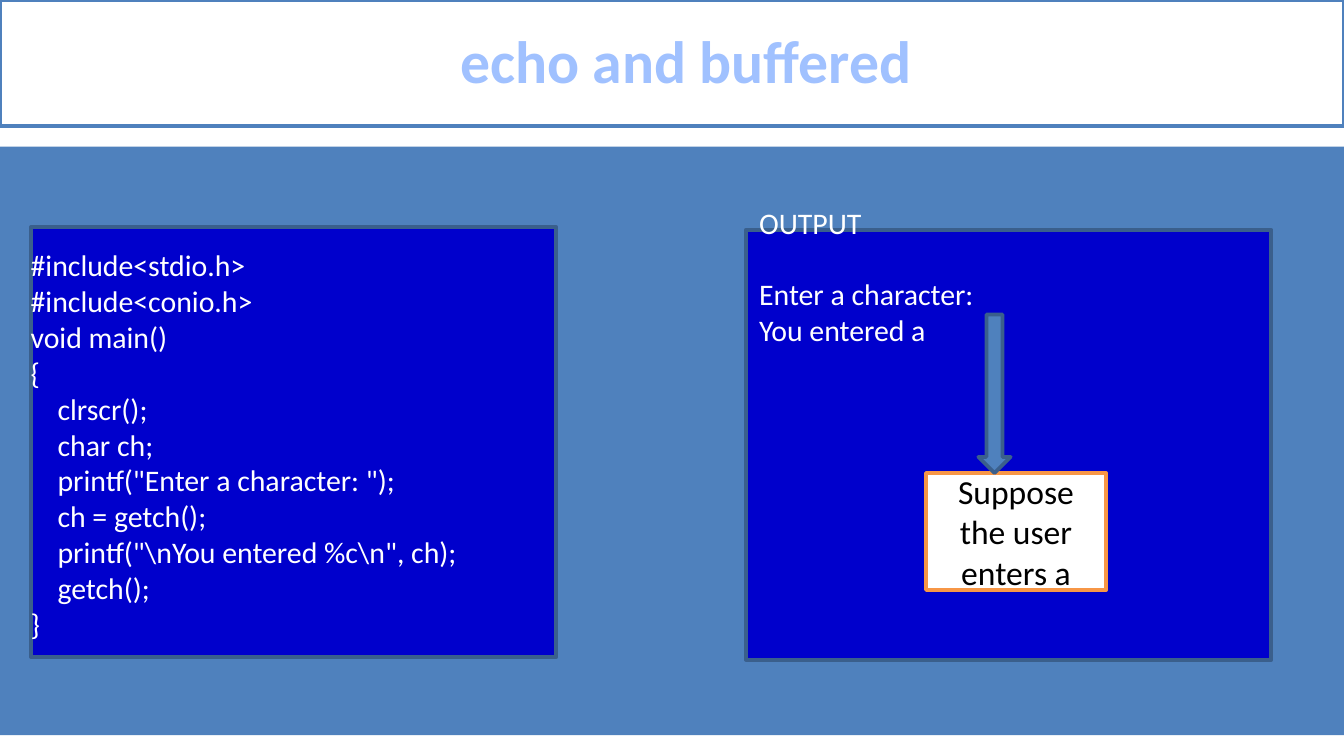
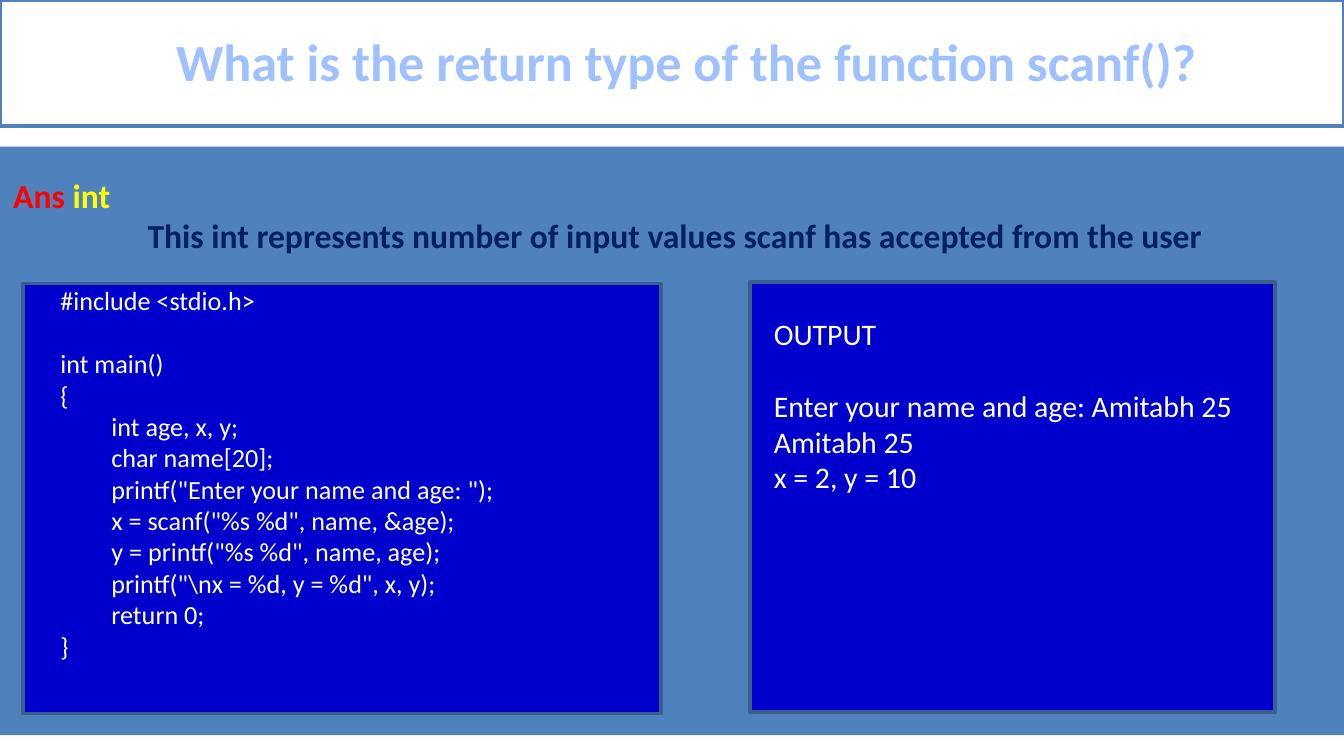
"""Build two slides on echoed, buffered input and the return type of scanf."""
from dataclasses import dataclass

from lxml import etree
from pptx import Presentation
from pptx.dml.color import RGBColor
from pptx.enum.shapes import MSO_SHAPE as Preset
from pptx.enum.text import MSO_ANCHOR as Anchor
from pptx.enum.text import MSO_AUTO_SIZE as AutoSize
from pptx.enum.text import PP_ALIGN as Align
from pptx.oxml import parse_xml
from pptx.oxml.ns import nsdecls
from pptx.util import Inches, Pt

FONT = "Calibri"
COLOURS = {
    "white": "FFFFFF",
    "black": "000000",
    "band": "4F81BD",
    "panel": "0000CC",
    "edge": "3A5F8C",
    "callout": "F79646",
    "answer": "FF0000",
    "type": "FFFF00",
    "remark": "002060",
    "title_edge": "467AB8",
}
TITLE_STOPS = ((0, "BFD3F9"), (9, "A0C1FF"), (50, "003D85"), (79, "A0C1FF"), (100, "BFD3F9"))
LINE_HEIGHT = 1.2


@dataclass(frozen=True)
class Area:
    left: float
    top: float
    width: float
    height: float

    def lengths(self) -> tuple:
        return tuple(Inches(v) for v in (self.left, self.top, self.width, self.height))


@dataclass(frozen=True)
class Panel:
    frame: Area
    text_area: Area
    size: int
    text: str


ECHO_PANELS = (
    Panel(Area(0.23, 1.69, 3.91, 3.2), Area(0.13, 1.79, 3.87, 3.06), 16, r"""#include<stdio.h>
#include<conio.h>
void main()
{
    clrscr();
    char ch;
    printf("Enter a character: ");
    ch = getch();
    printf("\nYou entered %c\n", ch);
    getch();
}"""),
    Panel(Area(5.55, 1.71, 3.91, 3.2), Area(5.55, 1.47, 3.52, 1.18), 16, """OUTPUT

Enter a character:
You entered a"""),
)

SCANF_PANELS = (
    Panel(Area(0.17, 2.11, 4.75, 3.2), Area(0.35, 2.07, 4.41, 2.93), 14, r"""#include <stdio.h>

int main()
{
	int age, x, y;
	char name[20];
	printf("Enter your name and age: ");
	x = scanf("%s %d", name, &age);
	y = printf("%s %d", name, age);
	printf("\nx = %d, y = %d", x, y);
	return 0;
}"""),
    Panel(Area(5.58, 2.1, 3.91, 3.2), Area(5.66, 2.3, 3.87, 1.72), 16, """OUTPUT

Enter your name and age: Amitabh 25
Amitabh 25
x = 2, y = 10"""),
)


def rgb(name: str) -> RGBColor:
    return RGBColor.from_string(COLOURS[name])


def set_font(font, size: float, colour: str | None = None, bold: bool = False) -> None:
    font.name = FONT
    font.size = Pt(size)
    font.bold = bold
    if colour:
        font.color.rgb = rgb(colour)


def set_indent(paragraph, margin: float, first: float = 0) -> None:
    properties = paragraph._p.get_or_add_pPr()
    properties.set("marL", str(Inches(margin)))
    properties.set("indent", str(Inches(first)))


def paint(shape, fill: str, line: str | None = None) -> None:
    shape.fill.solid()
    shape.fill.fore_color.rgb = rgb(fill)
    if line:
        shape.line.color.rgb = rgb(line)
        shape.line.width = Pt(2)
    else:
        shape.line.fill.background()


def add_block(page, preset, area: Area, fill: str, line: str | None = None):
    shape = page.shapes.add_shape(preset, *area.lengths())
    shape.shadow.inherit = False
    paint(shape, fill, line)
    return shape


def add_text_frame(page, area: Area):
    frame = page.shapes.add_textbox(*area.lengths()).text_frame
    frame.word_wrap = True
    frame.auto_size = AutoSize.SHAPE_TO_FIT_TEXT
    return frame


def next_paragraph(frame, index: int):
    return frame.add_paragraph() if index else frame.paragraphs[0]


def add_gradient(span) -> None:
    """Give a run the title's outline and vertical gradient."""
    properties = span._r.get_or_add_rPr()
    outline = parse_xml(
        f'<a:ln {nsdecls("a")} w="{Pt(0.83)}"><a:solidFill>'
        f'<a:srgbClr val="{COLOURS["title_edge"]}"/></a:solidFill></a:ln>')
    gradient = parse_xml(
        f'<a:gradFill {nsdecls("a")}><a:gsLst/><a:lin ang="5400000" scaled="0"/></a:gradFill>')
    namespace = "{" + gradient.nsmap["a"] + "}"
    for position, colour in TITLE_STOPS:
        stop = etree.SubElement(gradient[0], namespace + "gs", pos=str(position * 1000))
        etree.SubElement(stop, namespace + "srgbClr", val=colour)
    properties.insert(0, outline)
    properties.insert(1, gradient)


def add_page(deck, heading: str, size: int):
    """Add a slide with the blue band and the framed title."""
    page = deck.slides.add_slide(deck.slide_layouts[5])
    add_block(page, Preset.RECTANGLE, Area(0, 1.09, 10, 4.38), "band")
    title = page.shapes.title
    title.left, title.top, title.width, title.height = Area(0, 0, 10, 0.94).lengths()
    paint(title, "white", "band")
    frame = title.text_frame
    frame.auto_size = AutoSize.NONE
    frame.word_wrap = True
    frame.vertical_anchor = Anchor.MIDDLE
    paragraph = frame.paragraphs[0]
    paragraph.alignment = Align.CENTER
    paragraph.line_spacing = 0.96
    paragraph.space_before = Pt(0)
    set_indent(paragraph, 0.21)
    set_font(paragraph.font, size, bold=True)
    span = paragraph.add_run()
    span.text = heading
    add_gradient(span)
    return page


def add_panel(page, panel: Panel) -> None:
    """Draw a dark panel and its lines, turning empty lines into spacing."""
    add_block(page, Preset.RECTANGLE, panel.frame, "panel", "edge")
    frame = add_text_frame(page, panel.text_area)
    gap = 0
    for index, line in enumerate(panel.text.split("\n")):
        if not line:
            gap = panel.size * LINE_HEIGHT
            continue
        paragraph = next_paragraph(frame, index)
        set_indent(paragraph, 0.38, -0.38)
        if gap:
            paragraph.space_before = Pt(gap)
            gap = 0
        paragraph.add_run().text = line
        set_font(paragraph.font, panel.size, "white")


def add_callout(page) -> None:
    box = add_block(page, Preset.RECTANGLE, Area(6.89, 3.52, 1.34, 0.87), "white", "callout")
    frame = box.text_frame
    frame.word_wrap = True
    frame.vertical_anchor = Anchor.MIDDLE
    for index, line in enumerate(("Suppose", "the user", "enters a")):
        paragraph = next_paragraph(frame, index)
        paragraph.alignment = Align.CENTER
        paragraph.add_run().text = line
        set_font(paragraph.font, 18, "black")
    add_block(page, Preset.DOWN_ARROW, Area(7.28, 2.34, 0.24, 1.18), "band", "edge")


def add_answer(page) -> None:
    frame = add_text_frame(page, Area(0, 1.25, 10, 0.71))
    answer, remark = frame.paragraphs[0], frame.add_paragraph()
    set_font(answer.font, 18, bold=True)
    for text, colour in (("Ans", "answer"), (" int", "type")):
        span = answer.add_run()
        span.text = text
        span.font.color.rgb = rgb(colour)
    set_indent(remark, 1)
    remark.add_run().text = (
        "This int represents number of input values scanf has accepted from the user")
    set_font(remark.font, 18, "remark", bold=True)


def main() -> None:
    deck = Presentation()
    deck.slide_width = Inches(10)
    deck.slide_height = deck.slide_width * 9 // 16

    echo_page = add_page(deck, "echo and buffered", 32)
    for panel in ECHO_PANELS:
        add_panel(echo_page, panel)
    add_callout(echo_page)

    scanf_page = add_page(deck, "What is the return type of the function scanf()?", 28)
    add_answer(scanf_page)
    for panel in SCANF_PANELS:
        add_panel(scanf_page, panel)

    deck.save("out.pptx")


if __name__ == "__main__":
    main()
